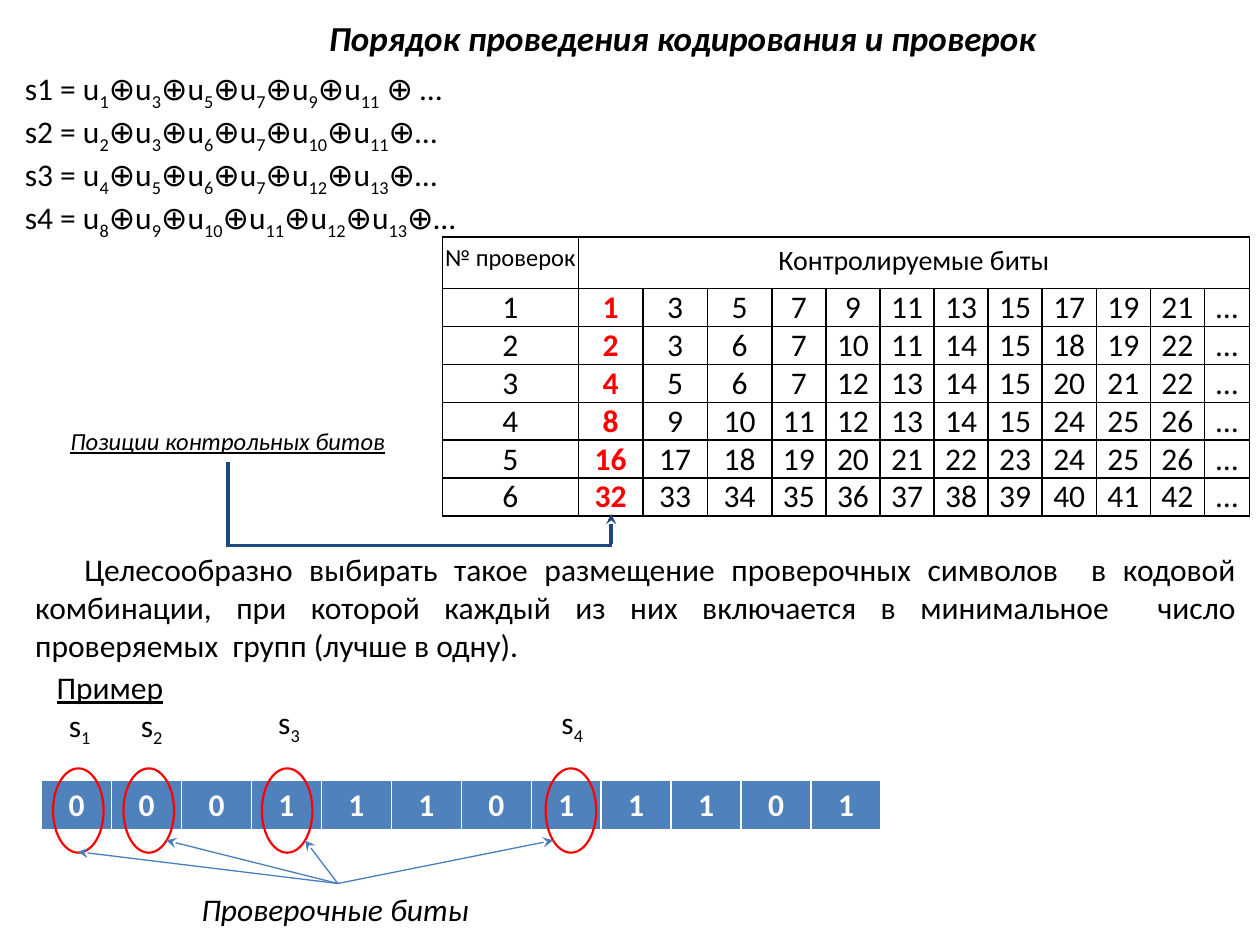
import dataclasses

import lxml.etree
import pptx
import pptx.dml.color
import pptx.enum.shapes
import pptx.enum.text
import pptx.oxml.ns
import pptx.util

Cm = pptx.util.Cm
Pt = pptx.util.Pt
qn = pptx.oxml.ns.qn
ALIGN = pptx.enum.text.PP_ALIGN


@dataclasses.dataclass(frozen=True)
class Theme:
    """Colours, font and type sizes of the slide."""
    font: str = "Calibri"
    ink: str = "000000"
    paper: str = "FFFFFF"
    accent: str = "FF0000"
    bit_fill: str = "4F81BD"
    pointer: str = "4B7EBC"
    bracket: str = "1F497D"
    title: int = 20
    body: int = 18
    header: int = 16
    small: int = 14


T = Theme()
CODE_WORD = "000111011101"
CHECKS = 6
CONTROLLED = 11
# Ellipse left, label left, label top, arrowhead x, arrowhead y
CHECK_BITS = [
    (1.07, 1.14, 14.1, 1.57, 17.17),
    (2.49, 2.59, 14.1, 3.35, 16.94),
    (5.28, 5.36, 14.05, 6.15, 16.94),
    (11.0, 11.07, 14.05, 11.15, 16.94),
]


def rgb(color):
    """Turn a hex string into a colour."""
    return pptx.dml.color.RGBColor.from_string(color)


def controlled_bits(check, count):
    """List the first positions whose binary form has the bit of this check."""
    mask = 1 << check
    return [n for n in range(1, 2 * mask + 4 * count) if n & mask][:count]


def style_run(r, size, color=T.ink, bold=False, italic=False, underline=False):
    """Format one run."""
    f = r.font
    f.name, f.size, f.color.rgb = T.font, Pt(size), rgb(color)
    f.bold, f.italic, f.underline = bold, italic, underline


def add_text(s, box, lines, size=T.body, align=None, wrap=False, indent=0, **style):
    """Add a text box; each line is a list of parts, every second one subscript."""
    sp = s.shapes.add_textbox(*map(Cm, box))
    tf = sp.text_frame
    tf.word_wrap = wrap
    tf.auto_size = pptx.enum.text.MSO_AUTO_SIZE.SHAPE_TO_FIT_TEXT
    for i, parts in enumerate(lines):
        p = tf.add_paragraph() if i else tf.paragraphs[0]
        p.alignment = align
        if indent:
            p._p.get_or_add_pPr().set("indent", str(Cm(indent)))
        for j, part in enumerate(parts):
            r = p.add_run()
            r.text = part
            style_run(r, size, **style)
            if j % 2:
                r._r.get_or_add_rPr().set("baseline", "-25000")


def add_line(s, start, end, color, width, head=None):
    """Add a line; head names the end ("headEnd" or "tailEnd") with an arrow."""
    c = s.shapes.add_connector(pptx.enum.shapes.MSO_CONNECTOR.STRAIGHT,
                               *map(Cm, start + end))
    c.line.color.rgb, c.line.width = rgb(color), Pt(width)
    if head:
        ln = c.line._get_or_add_ln()
        lxml.etree.SubElement(ln, qn("a:" + head), type="stealth")
    lxml.etree.SubElement(c._element.spPr, qn("a:effectLst"))


def add_ring(s, left, top, width, height):
    """Add an unfilled ellipse around a check bit."""
    sp = s.shapes.add_shape(pptx.enum.shapes.MSO_SHAPE.OVAL,
                            *map(Cm, (left, top, width, height)))
    sp.shadow.inherit = False
    sp.fill.background()
    sp.line.color.rgb, sp.line.width = rgb(T.accent), Pt(1.25)


def set_borders(cell, color, widths):
    """Draw the left, right, top and bottom borders of a cell."""
    tcPr = cell._tc.get_or_add_tcPr()
    for side, width in zip("LRTB", widths):
        ln = lxml.etree.SubElement(tcPr, qn("a:ln" + side), w=str(Pt(width)))
        fill = lxml.etree.SubElement(ln, qn("a:solidFill"))
        lxml.etree.SubElement(fill, qn("a:srgbClr"), val=color)


def add_grid(s, left, top, cols, rows):
    """Add a plain table with the given column widths and row heights."""
    tbl = s.shapes.add_table(len(rows), len(cols), Cm(left), Cm(top),
                             Cm(sum(cols)), Cm(sum(rows))).table
    tbl.first_row = tbl.horz_banding = False
    for col, width in zip(tbl.columns, cols):
        col.width = Cm(width)
    for row, height in zip(tbl.rows, rows):
        row.height = Cm(height)
    return tbl


def fill_cell(cell, text, size=T.body, pad=None, fill=None, **style):
    """Write centred text in a cell, with optional padding and fill."""
    if pad is not None:
        cell.margin_left = cell.margin_right = 0
        cell.margin_top = cell.margin_bottom = Cm(pad)
    if fill:
        cell.fill.solid()
        cell.fill.fore_color.rgb = rgb(fill)
    else:
        cell.fill.background()
    p = cell.text_frame.paragraphs[0]
    p.text = text
    p.alignment = ALIGN.CENTER
    for r in p.runs:
        style_run(r, size, **style)


def add_code_word(s):
    """Add the row of code word bits."""
    tbl = add_grid(s, 0.84, 15.72, [1.41] * len(CODE_WORD), [1.03])
    for cell, bit in zip(tbl.iter_cells(), CODE_WORD):
        set_borders(cell, T.paper, (1, 1, 1, 3))
        fill_cell(cell, bit, fill=T.bit_fill, color=T.paper, bold=True)


def add_check_table(s):
    """Add the table of checks and the bits they control."""
    cols = [2.74] + [1.3] * 3 + [1.09] * 8 + [0.91]
    tbl = add_grid(s, 8.92, 4.78, cols, [1.04] + [0.76] * CHECKS)
    for cell in tbl.iter_cells():
        set_borders(cell, T.ink, (1, 1, 1, 1))
    tbl.cell(0, 1).merge(tbl.cell(0, len(cols) - 1))
    fill_cell(tbl.cell(0, 0), "№ проверок", T.small, 0.13)
    fill_cell(tbl.cell(0, 1), "Контролируемые биты", T.header, 0.13)
    for check in range(CHECKS):
        values = [check + 1, *controlled_bits(check, CONTROLLED), "…"]
        for col, value in enumerate(values):
            control = col == 1
            fill_cell(tbl.cell(check + 1, col), str(value), pad=0, bold=control,
                      color=T.accent if control else T.ink)


def formula(check):
    """Build the parts of one check equation."""
    parts = [f"s{check + 1} = u"]
    for bit in controlled_bits(check, 6):
        parts += [str(bit), "⊕u"]
    parts[-1] = "⊕…" if check else " ⊕ …"
    return parts


def main():
    """Build the slide and save it."""
    prs = pptx.Presentation()
    prs.slide_width, prs.slide_height = Cm(25.4), Cm(19.05)
    s = prs.slides.add_slide(prs.slide_layouts[6])

    add_text(s, (0.89, 13.34, 2.69, 1.02), [["Пример"]], underline=True)
    add_code_word(s)
    add_check_table(s)
    for number, (ring, label, top, x, y) in enumerate(CHECK_BITS, 1):
        add_ring(s, ring, 15.49, 1.02, 1.7)
        add_line(s, (x, y), (6.81, 17.81), T.pointer, 0.75, "headEnd")
        add_text(s, (label, top, 0.99, 1.02), [["s", str(number)]])
    add_text(s, (3.81, 17.81, 5.97, 1.02), [["Проверочные биты"]], italic=True)
    add_text(s, (0.46, 10.97, 24.71, 2.57),
             [["Целесообразно выбирать такое размещение проверочных символов  "
               "в кодовой комбинации, при которой каждый из них включается в "
               "минимальное  число проверяемых  групп (лучше в одну)."]],
             align=ALIGN.JUSTIFY, wrap=True, indent=0.99)
    add_text(s, (6.38, 0.2, 14.86, 1.12),
             [["Порядок проведения кодирования и проверок"]],
             T.title, bold=True, italic=True)
    add_text(s, (0.25, 1.27, 9.53, 3.33), [formula(check) for check in range(4)])
    add_line(s, (12.32, 10.97), (12.32, 10.36), T.bracket, 2, "tailEnd")
    add_line(s, (4.6, 10.97), (4.6, 9.32), T.bracket, 2)
    add_text(s, (1.14, 8.46, 6.91, 0.86), [["Позиции контрольных битов"]],
             T.small, ALIGN.CENTER, italic=True, underline=True)
    add_line(s, (12.34, 11), (4.55, 11), T.bracket, 2)
    prs.save("out.pptx")


main()
